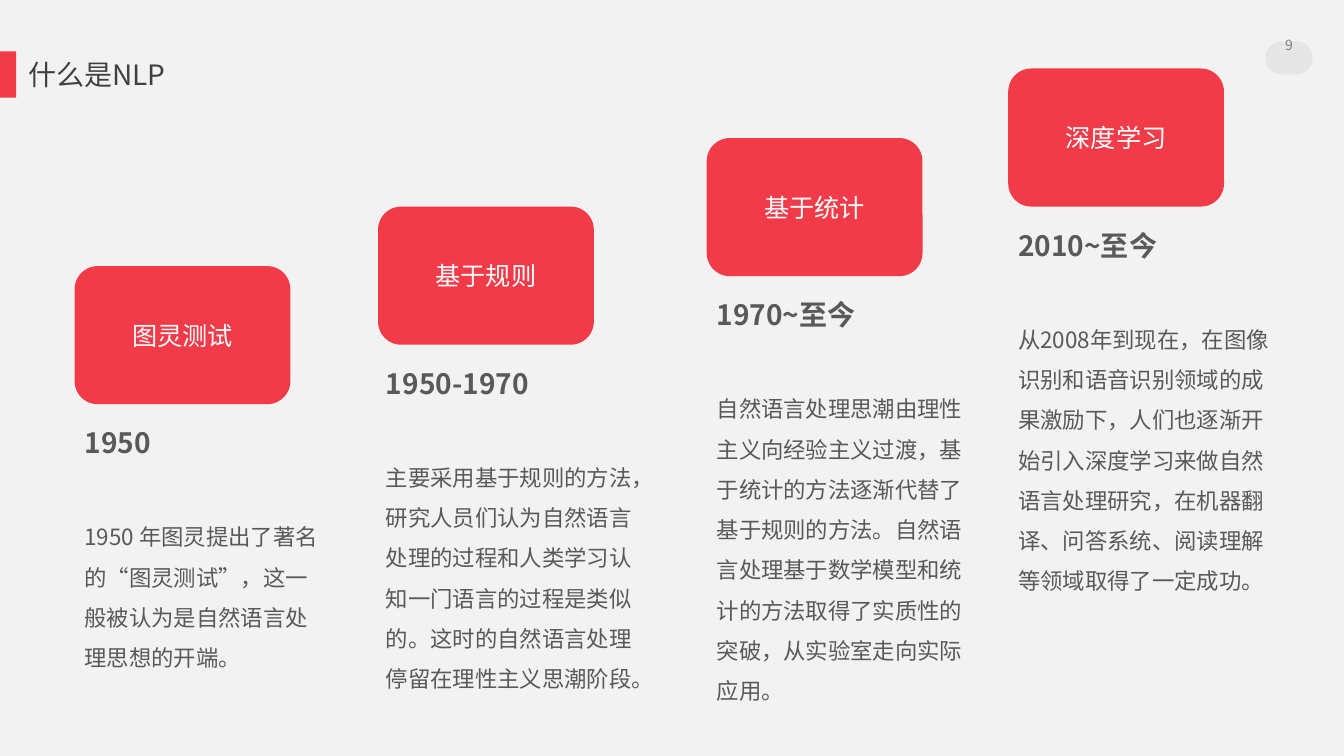
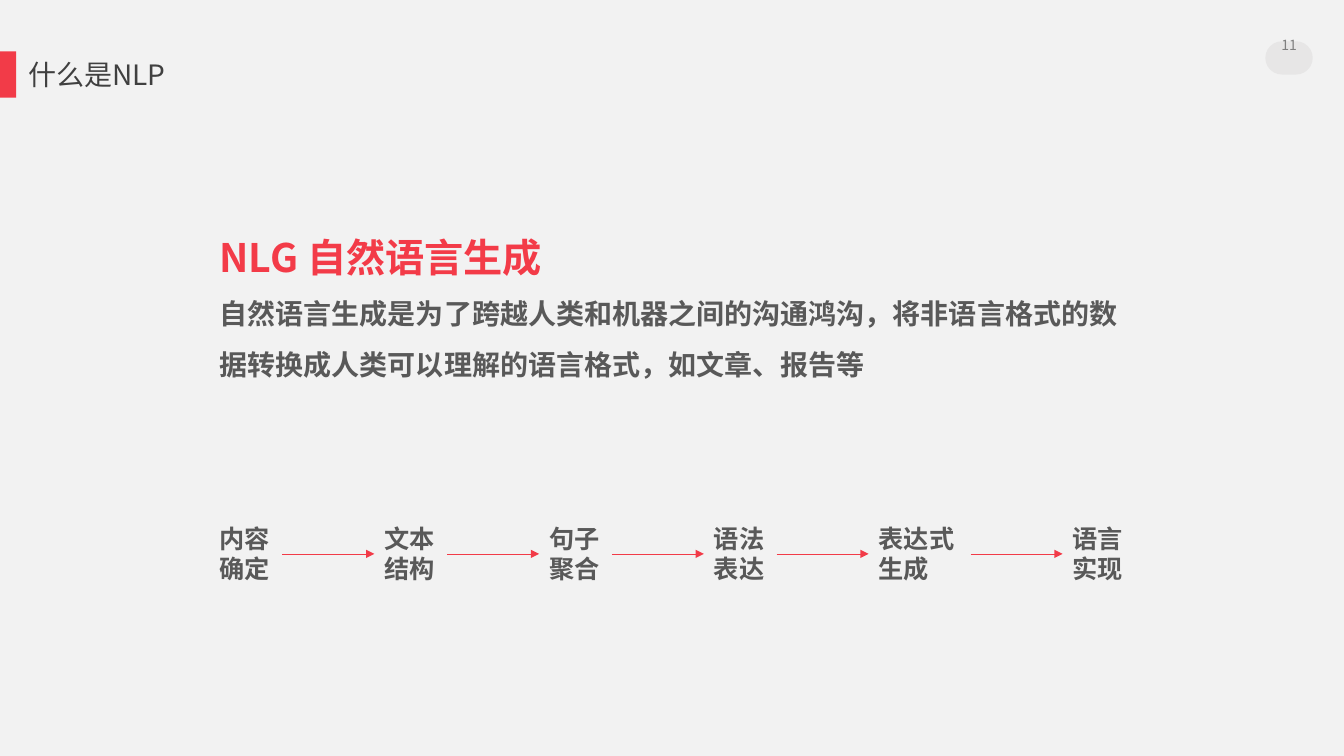
from lxml import etree
from pptx import Presentation
from pptx.dml.color import RGBColor
from pptx.enum.shapes import MSO_CONNECTOR, MSO_SHAPE
from pptx.enum.text import MSO_ANCHOR, MSO_AUTO_SIZE, PP_ALIGN
from pptx.oxml.ns import qn
from pptx.util import Inches, Pt

ROUNDED, RECTANGLE = MSO_SHAPE.ROUNDED_RECTANGLE, MSO_SHAPE.RECTANGLE
STRAIGHT = MSO_CONNECTOR.STRAIGHT
TOP, MIDDLE = MSO_ANCHOR.TOP, MSO_ANCHOR.MIDDLE
LEFT, CENTER, JUSTIFY = PP_ALIGN.LEFT, PP_ALIGN.CENTER, PP_ALIGN.JUSTIFY
NO_FIT = MSO_AUTO_SIZE.NONE

FONT = "Noto Sans CJK SC"
COLORS = {
    "background": "F2F2F2", "accent": "F23B48", "heading": "F33B48",
    "pill": "E7E6E6", "title": "404040", "body": "595959",
    "number": "808080", "white": "FFFFFF",
}
STYLES = {
    "title": {"size": Pt(20), "bold": False},
    "number": {"size": Pt(10)},
    "white": {"size": Pt(18)},
    "period": {"size": Pt(20), "bold": True},
    "detail": {"size": Pt(16), "bold": False},
    "heading": {"size": Pt(28), "bold": True},
    "step": {"size": Pt(18), "bold": True},
}
INKS = {"period": "body", "detail": "body", "step": "body"}
NO_INSETS = dict.fromkeys(("margin_left", "margin_top", "margin_right", "margin_bottom"), 0)

TITLE = "什么是NLP"
BAR = (0, 0.51, 0.16, 0.46)
PILL = (12.55, 0.41, 0.47, 0.33)
NUMBER_AREA = (12.55, 0.36, 0.47, 0.43)
TITLE_AREA = (0.28, 0.51, 4.17, 0.46)

CARD_W, CARD_H = 2.14, 1.37
ERAS = [
    ("图灵测试", "1950", "1950 年图灵提出了著名的“图灵测试”，这一般被认为是自然语言处理思想的开端。",
     (0.74, 2.64), (0.74, 2.57, 2.68)),
    ("基于规则", "1950-1970",
     "主要采用基于规则的方法，研究人员们认为自然语言处理的过程和人类学习认知一门语言的过程是类似的。"
     "这时的自然语言处理停留在理性主义思潮阶段。",
     (3.75, 2.05), (3.73, 2.82, 3.49)),
    ("基于统计", "1970~至今",
     "自然语言处理思潮由理性主义向经验主义过渡，基于统计的方法逐渐代替了基于规则的方法。"
     "自然语言处理基于数学模型和统计的方法取得了实质性的突破，从实验室走向实际应用。",
     (7.01, 1.37), (7.01, 2.82, 4.29)),
    ("深度学习", "2010~至今",
     "从2008年到现在，在图像识别和语音识别领域的成果激励下，人们也逐渐开始引入深度学习来做自然语言处理研究，"
     "在机器翻译、问答系统、阅读理解等领域取得了一定成功。",
     (10, 0.68), (10, 2.82, 3.89)),
]

NLG_AREA = (2.08, 2.03, 9.18, 2.26)
NLG_TEXT = [
    ("NLG 自然语言生成", "heading"),
    ("自然语言生成是为了跨越人类和机器之间的沟通鸿沟，将非语言格式的数据转换成人类可以理解的语言格式，如文章、报告等", "period"),
]
STEPS = ["内容确定", "文本结构", "句子聚合", "语法表达", "表达式生成", "语言实现"]
STEP_TOP, STEP_H = 5.14, 0.71
STEP_WIDTHS = {4: 0.72, 5: 1.01}


def inches(area):
    return [Inches(length) for length in area]


def rgb(key):
    return RGBColor.from_string(COLORS[key])


def apply(target, values):
    for name, value in values.items():
        setattr(target, name, value)


def write(shape, lines, align=LEFT, spacing=1.0, gap=0, **frame_format):
    frame = shape.text_frame
    apply(frame, {"word_wrap": True, "auto_size": NO_FIT, "vertical_anchor": TOP, **frame_format})
    for index, (text, style) in enumerate(lines):
        paragraph = frame.add_paragraph() if index else frame.paragraphs[0]
        apply(paragraph, {"alignment": align, "line_spacing": spacing})
        if gap and index < len(lines) - 1:
            paragraph.space_after = Pt(gap)
        run = paragraph.add_run()
        run.text = text
        apply(run.font, {"name": FONT, **STYLES[style]})
        run.font.color.rgb = rgb(INKS.get(style, style))
        etree.SubElement(run._r.get_or_add_rPr(), qn("a:ea"), typeface=FONT)


def add_text(slide, area, lines, **options):
    box = slide.shapes.add_textbox(*inches(area))
    write(box, lines, **options)
    return box


def add_block(slide, kind, area, color):
    block = slide.shapes.add_shape(kind, *inches(area))
    block.shadow.inherit = False
    block.fill.solid()
    block.fill.fore_color.rgb = rgb(color)
    block.line.fill.background()
    return block


def add_arrow(slide, start, end):
    arrow = slide.shapes.add_connector(STRAIGHT, 0, 0, 0, 0)
    arrow.begin_connect(start, 3)
    arrow.end_connect(end, 1)
    arrow.line.color.rgb = rgb("accent")
    arrow.line.width = Pt(0.5)
    etree.SubElement(arrow.line._get_or_add_ln(), qn("a:tailEnd"), type="triangle")
    etree.SubElement(arrow.element.spPr, qn("a:effectLst"))


def prepare_layout(prs, layout):
    background = prs.slide_master.background.fill
    background.solid()
    background.fore_color.rgb = rgb("background")
    title, *footers = list(layout.placeholders)
    for footer in footers:
        layout.shapes.element.remove(footer.element)
    apply(title, dict(zip(("left", "top", "width", "height"), inches(TITLE_AREA))))


def decorate_layout(layout, slide):
    bar = add_block(slide, RECTANGLE, BAR, "accent")
    pill = add_block(slide, ROUNDED, PILL, "pill")
    pill.adjustments[0] = 0.5
    for part in (bar, pill):
        layout.shapes.element.append(part.element)


def add_page(prs, layout, number):
    slide = prs.slides.add_slide(layout)
    write(slide.shapes.title, [(TITLE, "title")], align=JUSTIFY, vertical_anchor=MIDDLE, **NO_INSETS)
    add_text(slide, NUMBER_AREA, [(number, "number")], align=CENTER, **NO_INSETS)
    return slide


def fill_history(slide):
    for name, period, detail, (left, top), (text_left, width, height) in ERAS:
        card = add_block(slide, ROUNDED, (left, top, CARD_W, CARD_H), "accent")
        write(card, [(name, "white")], align=CENTER, vertical_anchor=MIDDLE)
        add_text(slide, (text_left, top + CARD_H, width, height),
                 [(period, "period"), (detail, "detail")], spacing=1.5, gap=36)


def fill_generation(slide):
    add_text(slide, NLG_AREA, NLG_TEXT, spacing=1.5)
    left, _, total, _ = NLG_AREA
    widths = [STEP_WIDTHS[len(step)] for step in STEPS]
    gap = (total - sum(widths)) / (len(STEPS) - 1)
    boxes = []
    for step, width in zip(STEPS, widths):
        boxes.append(add_text(slide, (left, STEP_TOP, width, STEP_H), [(step, "step")]))
        left += width + gap
    for start, end in zip(boxes, boxes[1:]):
        add_arrow(slide, start, end)


def main():
    prs = Presentation()
    prs.slide_width, prs.slide_height = inches((13.33, 7.5))
    layout = prs.slide_layouts[5]
    prepare_layout(prs, layout)
    history = add_page(prs, layout, "9")
    decorate_layout(layout, history)
    fill_history(history)
    fill_generation(add_page(prs, layout, "11"))
    prs.save("out.pptx")


if __name__ == "__main__":
    main()
